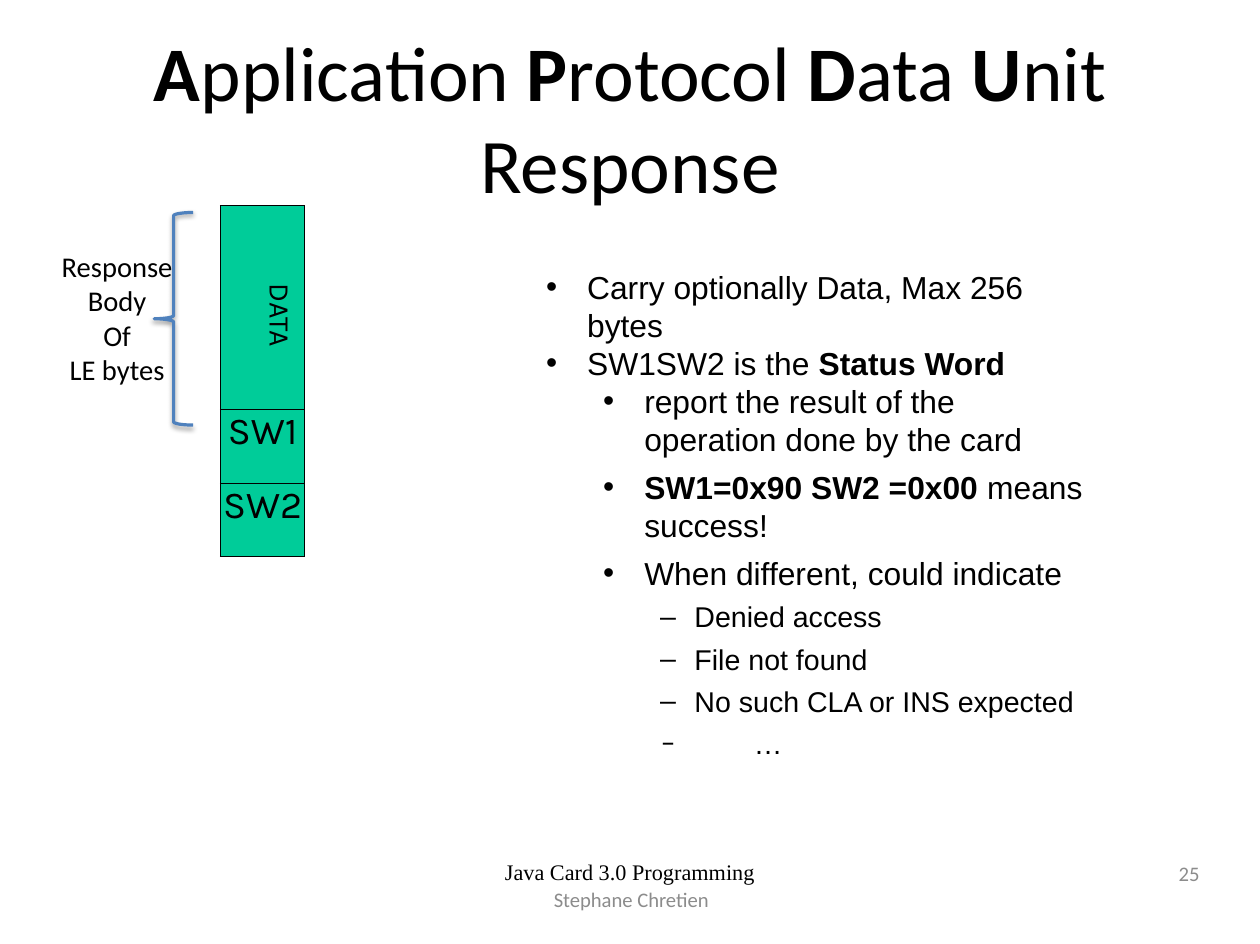
from dataclasses import dataclass

from lxml import etree
from pptx import Presentation
from pptx.dml.color import RGBColor
from pptx.enum.shapes import MSO_SHAPE
from pptx.enum.text import MSO_ANCHOR, MSO_AUTO_SIZE, PP_ALIGN
from pptx.oxml.ns import qn
from pptx.util import Inches, Pt

LEFT, CENTER, RIGHT = PP_ALIGN.LEFT, PP_ALIGN.CENTER, PP_ALIGN.RIGHT
TOP, MIDDLE = MSO_ANCHOR.TOP, MSO_ANCHOR.MIDDLE
NO_AUTOFIT = MSO_AUTO_SIZE.NONE
LEFT_BRACE = MSO_SHAPE.LEFT_BRACE
TITLE_ONLY = 5


@dataclass(frozen=True)
class Theme:
    text: str = "000000"
    muted: str = "8C8C8C"
    field: str = "00CC99"
    brace: str = "4F81BD"
    title_font: str = "Calibri"
    body_font: str = "Arial"
    field_font: str = "Karla"
    footer_font: str = "Times New Roman"
    title_size: float = 48.6
    field_size: float = 24
    body_size: float = 20
    label_size: float = 18
    course_size: float = 14
    footer_size: float = 13


@dataclass(frozen=True)
class Level:
    """Look of one list level; lengths in inches, sizes and space in points."""
    depth: int
    bullet: str
    margin: float
    hanging: float
    size: float
    space: float = 0
    bullet_font: str = "Arial"


THEME = Theme()
POINT = Level(0, "•", 0.37, 0.36, THEME.body_size)
FIRST_DETAIL = Level(1, "•", 0.87, 0.36, THEME.body_size)
DETAIL = Level(1, "•", 0.87, 0.36, THEME.body_size, 6)
CAUSE = Level(2, "–", 1.31, 0.3, THEME.label_size, 5)
MORE = Level(2, "–", 1.83, 0.81, THEME.label_size, 5, THEME.field_font)

# Every second part of a split text, between asterisks, is bold.
TITLE = "*A*pplication *P*rotocol *D*ata *U*nit Response"
RESPONSE_LIST = [
    (POINT, "Carry optionally Data, Max 256 bytes"),
    (POINT, "SW1SW2 is the *Status Word*"),
    (FIRST_DETAIL, "report the result of the operation done by the card"),
    (DETAIL, "*SW1=0x90 SW2 =0x00* means success!"),
    (DETAIL, "When different, could indicate"),
    (CAUSE, "Denied access"),
    (CAUSE, "File not found"),
    (CAUSE, "No such CLA or INS expected"),
    (MORE, "…"),
]
RESPONSE_FIELDS = [("", 1.78), ("SW1", 0.65), ("SW2", 0.64)]


def style_font(font, name, size, color=THEME.text):
    font.name = name
    font.size = Pt(size)
    font.color.rgb = RGBColor.from_string(color)


def set_margins(target, horizontal, vertical):
    target.margin_left = target.margin_right = Inches(horizontal)
    target.margin_top = target.margin_bottom = Inches(vertical)


def write_marked(paragraph, text, font_name, size):
    """Write text in which the parts between asterisks are bold."""
    for index, part in enumerate(text.split("*")):
        if part:
            run = paragraph.add_run()
            run.text = part
            style_font(run.font, font_name, size)
            run.font.bold = index % 2 == 1


def set_bullet(paragraph, level):
    properties = paragraph._p.get_or_add_pPr()
    properties.set("marL", str(Inches(level.margin)))
    properties.set("indent", str(-Inches(level.hanging)))
    etree.SubElement(properties, qn("a:buFont"), typeface=level.bullet_font)
    etree.SubElement(properties, qn("a:buChar"), char=level.bullet)


def add_title(slide):
    title = slide.shapes.title
    title.left, title.top = Inches(0.55), Inches(0.33)
    title.width, title.height = Inches(9.93), Inches(1.38)
    frame = title.text_frame
    frame.auto_size = NO_AUTOFIT
    frame.vertical_anchor = MIDDLE
    set_margins(frame, 0.11, 0.06)
    paragraph = frame.paragraphs[0]
    paragraph.alignment = CENTER
    write_marked(paragraph, TITLE, THEME.title_font, THEME.title_size)


def add_text(slide, box, text, font_name, size, color=THEME.text,
             align=LEFT, anchor=TOP, line_spacing=None, margins=(0, 0), wrap=True):
    shape = slide.shapes.add_textbox(*map(Inches, box))
    frame = shape.text_frame
    frame.word_wrap = wrap
    frame.vertical_anchor = anchor
    set_margins(frame, *margins)
    frame.text = text
    for paragraph in frame.paragraphs:
        paragraph.alignment = align
        paragraph.line_spacing = line_spacing
        for run in paragraph.runs:
            style_font(run.font, font_name, size, color)
    return shape


def add_list(slide, box, items):
    frame = slide.shapes.add_textbox(*map(Inches, box)).text_frame
    frame.word_wrap = True
    set_margins(frame, 0, 0)
    for index, (level, text) in enumerate(items):
        paragraph = frame.add_paragraph() if index else frame.paragraphs[0]
        paragraph.level = level.depth
        paragraph.space_before = Pt(level.space)
        set_bullet(paragraph, level)
        write_marked(paragraph, text, THEME.body_font, level.size)


def set_borders(cell, color, width):
    properties = cell._tc.get_or_add_tcPr()
    for position, side in enumerate(("a:lnL", "a:lnR", "a:lnT", "a:lnB")):
        line = etree.Element(qn(side), w=str(Pt(width)))
        fill = etree.SubElement(line, qn("a:solidFill"))
        etree.SubElement(fill, qn("a:srgbClr"), val=color)
        properties.insert(position, line)


def add_field_table(slide, left, top, width, fields):
    total = sum(height for _, height in fields)
    table = slide.shapes.add_table(
        len(fields), 1, Inches(left), Inches(top), Inches(width), Inches(total)).table
    table.first_row = table.horz_banding = False
    for index, (name, height) in enumerate(fields):
        table.rows[index].height = Inches(height)
        cell = table.cell(index, 0)
        set_margins(cell, 0, 0)
        cell.fill.solid()
        cell.fill.fore_color.rgb = RGBColor.from_string(THEME.field)
        set_borders(cell, THEME.text, 0.75)
        cell.text = name
        paragraph = cell.text_frame.paragraphs[0]
        paragraph.alignment = CENTER
        for run in paragraph.runs:
            style_font(run.font, THEME.field_font, THEME.field_size)


def add_brace(slide, box):
    brace = slide.shapes.add_shape(LEFT_BRACE, *map(Inches, box))
    brace.fill.background()
    brace.line.color.rgb = RGBColor.from_string(THEME.brace)
    brace.line.width = Pt(2)
    brace.shadow.inherit = False
    effects = brace._element.spPr.find(qn("a:effectLst"))
    shadow = etree.SubElement(effects, qn("a:outerShdw"), blurRad=str(Pt(3.1)),
                              dist=str(Pt(1.6)), dir="5400000", rotWithShape="0")
    color = etree.SubElement(shadow, qn("a:srgbClr"), val=THEME.text)
    etree.SubElement(color, qn("a:alpha"), val="38000")


def add_footer(slide):
    spacing = Pt(15.1)
    add_text(slide, (4.42, 7.53, 2.21, 0.22), "Java Card 3.0 Programming",
             THEME.footer_font, THEME.course_size, line_spacing=spacing)
    add_text(slide, (3.78, 7.77, 3.49, 0.21), "Stephane Chretien", THEME.title_font,
             THEME.footer_size, THEME.muted, CENTER, MIDDLE, spacing)
    add_text(slide, (10.15, 7.53, 0.35, 0.22), "25", THEME.title_font,
             THEME.footer_size, THEME.muted, RIGHT, MIDDLE, spacing)


def main():
    presentation = Presentation()
    presentation.slide_width, presentation.slide_height = Inches(11.03), Inches(8.26)
    slide = presentation.slides.add_slide(presentation.slide_layouts[TITLE_ONLY])
    add_title(slide)
    add_list(slide, (4.77, 2.34, 4.73, 4.35), RESPONSE_LIST)
    add_field_table(slide, 1.93, 1.8, 0.74, RESPONSE_FIELDS)
    add_brace(slide, (1.35, 1.86, 0.34, 1.86))
    add_text(slide, (0.43, 2.13, 1.19, 1.31), "Response\nBody\nOf\nLE bytes",
             THEME.title_font, THEME.label_size, align=CENTER,
             margins=(0.1, 0.05), wrap=False)
    data_label = add_text(slide, (1.85, 2.38, 0.81, 0.69), "DATA", THEME.field_font,
                          THEME.label_size, margins=(0.1, 0.05), wrap=False)
    data_label.text_frame._txBody.bodyPr.set("vert", "vert")
    add_footer(slide)
    presentation.save("out.pptx")


if __name__ == "__main__":
    main()
